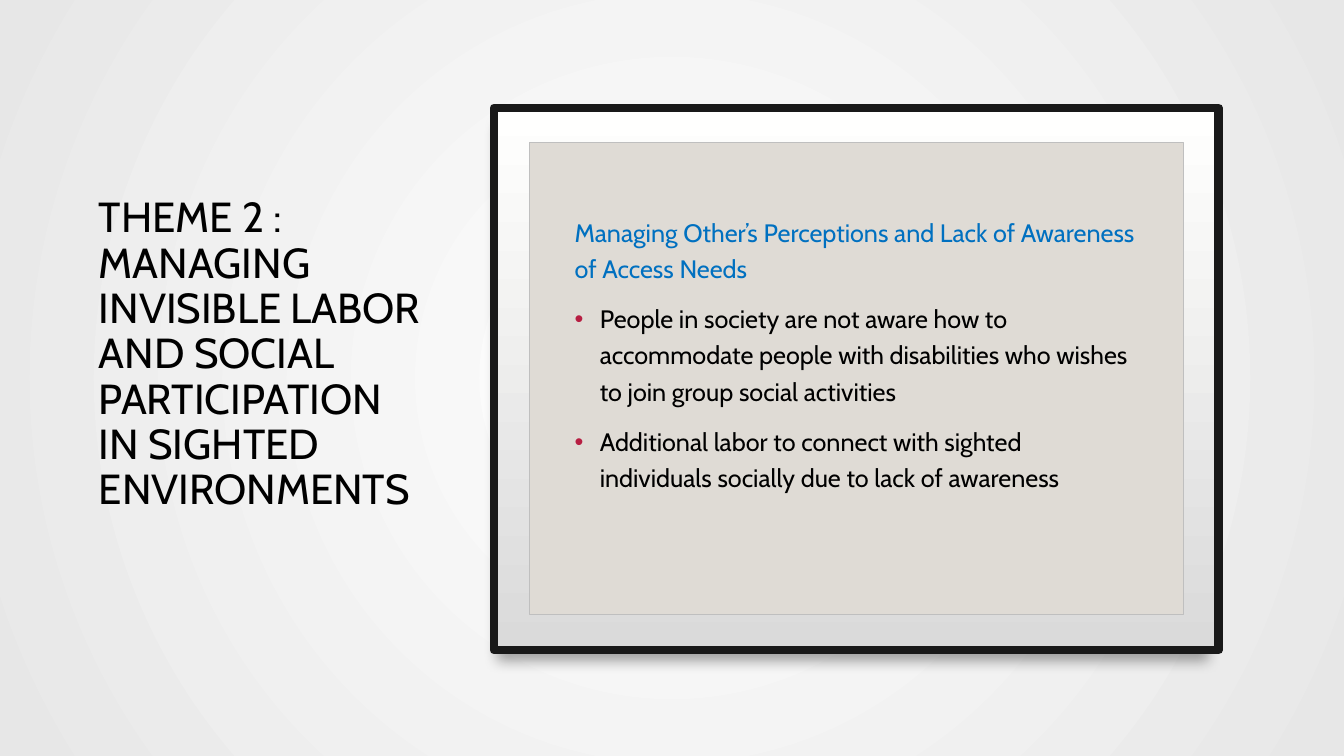
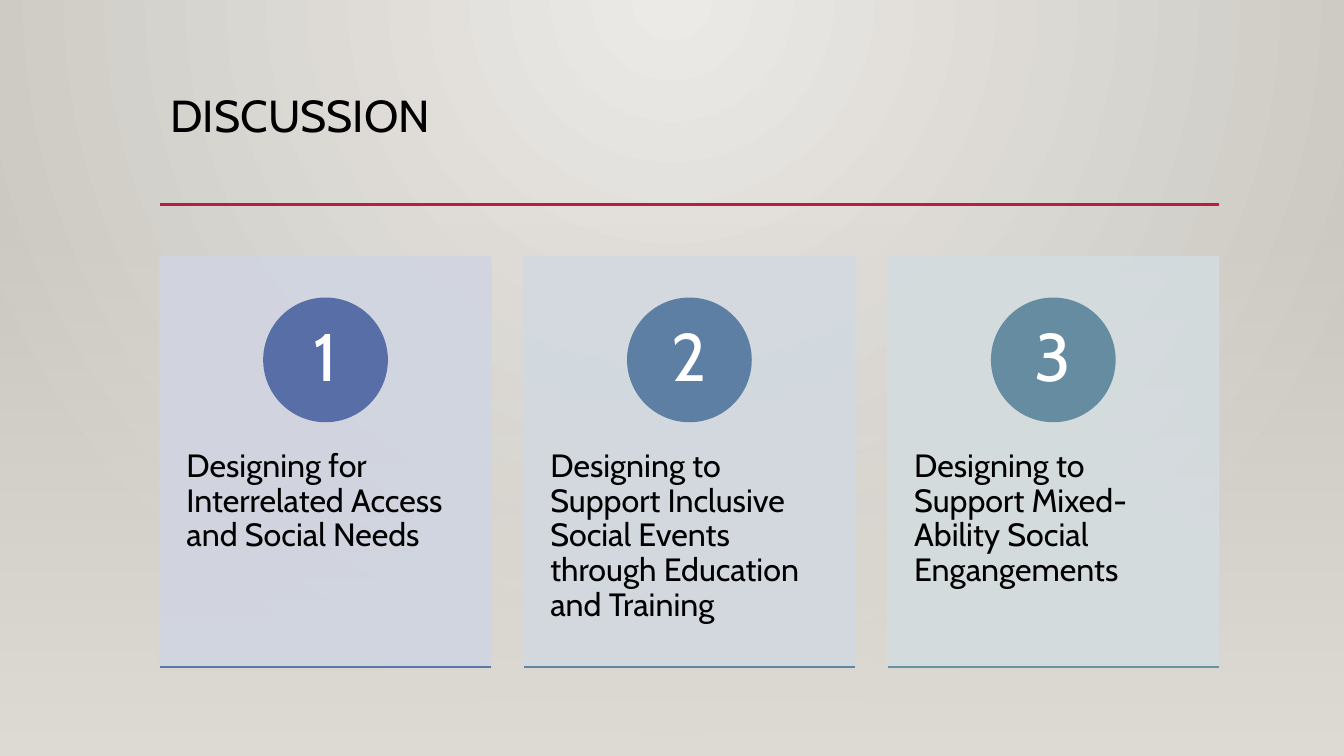
import pptx
import pptx.util
import pptx.dml.color
import pptx.enum.shapes
import pptx.enum.text
import pptx.oxml
import pptx.oxml.ns

Pt = pptx.util.Pt
Inches = pptx.util.Inches
Shape = pptx.enum.shapes.MSO_SHAPE
Anchor = pptx.enum.text.MSO_ANCHOR
Align = pptx.enum.text.PP_ALIGN
qn = pptx.oxml.ns.qn

BLACK, WHITE, ACCENT, SAND, HEADING = "000000", "FFFFFF", "B71E42", "DFDBD5", "0070C0"
CONTENT_LAYOUT, TITLE_LAYOUT = 1, 5
LEFT, WIDTH = 11.92, 78.75


def color(value):
    return pptx.dml.color.RGBColor.from_string(value)


def assign(target, values):
    for name, value in values.items():
        setattr(target, name, value)


def xml(tag, inner="", attributes=""):
    namespace = pptx.oxml.ns.nsdecls("a")
    return pptx.oxml.parse_xml(f"<a:{tag} {namespace} {attributes}>{inner}</a:{tag}>")


def gradient(owner, element, stops, direction):
    owner.fill.gradient()
    plain = element.find(".//" + qn("a:gradFill"))
    marks = "".join(
        f'<a:gs pos="{place * 1000}"><a:srgbClr val="{tone}"><a:alpha val="{alpha * 1000}"/></a:srgbClr></a:gs>'
        for place, tone, alpha in stops
    )
    plain.getparent().replace(plain, xml("gradFill", f"<a:gsLst>{marks}</a:gsLst>{direction}"))


def linear(angle):
    return f'<a:lin ang="{angle * 60000}" scaled="0"/>'


def radial(left, top, right, bottom):
    sides = " ".join(f'{side}="{share * 1000}"' for side, share in zip("ltrb", (left, top, right, bottom)))
    return f'<a:path path="circle"><a:fillToRect {sides}/></a:path>'


class Deck:
    font = "Cabin"

    def __init__(self):
        self.show = pptx.Presentation()
        assign(self.show, {"slide_width": Inches(13.333), "slide_height": Inches(7.5)})
        self.slide = None

    def place(self, x, y, w, h):
        across, down = self.show.slide_width / 100, self.show.slide_height / 100
        return [int(x * across), int(y * down), int(w * across), int(h * down)]

    def add_slide(self, layout, inner, outer, direction):
        self.slide = self.show.slides.add_slide(self.show.slide_layouts[layout])
        stops = [(0, inner, 100), (100, outer, 100)]
        gradient(self.slide.background, self.slide.element, stops, direction)

    def frame(self, holder, insets, anchor):
        margins = dict(zip(("margin_left", "margin_top", "margin_right", "margin_bottom"), map(Inches, insets)))
        assign(holder.text_frame, {
            "word_wrap": True,
            "auto_size": pptx.enum.text.MSO_AUTO_SIZE.NONE,
            "vertical_anchor": anchor,
            **margins,
        })
        return holder.text_frame

    def set_words(self, paragraph, words, size, tone=BLACK, spacing=0.9, before=0, align=Align.LEFT):
        assign(paragraph, {"line_spacing": spacing, "space_before": Pt(before), "alignment": align})
        run = paragraph.add_run()
        run.text = words
        assign(run.font, {"name": self.font, "size": Pt(size)})
        run.font.color.rgb = color(tone)

    def move(self, holder, area):
        assign(holder, dict(zip(("left", "top", "width", "height"), self.place(*area))))

    def title(self, words, area, size, anchor, bottom=0.05):
        heading = self.slide.shapes.title
        self.move(heading, area)
        frame = self.frame(heading, (0.1, 0.05, 0.1, bottom), anchor)
        self.set_words(frame.paragraphs[0], words, size)

    def body(self, lead, points, area, size, bottom):
        listing = self.slide.placeholders[1]
        self.move(listing, area)
        frame = self.frame(listing, (0.1, 0.05, 0.1, bottom), Anchor.MIDDLE)
        for index, words in enumerate([lead, *points]):
            paragraph = frame.add_paragraph() if index else frame.paragraphs[0]
            self.set_words(paragraph, words, size, BLACK if index else HEADING, 1.2, 10)
            properties = paragraph._p.get_or_add_pPr()
            indent = Inches(0.25) if index else 0
            properties.set("marL", str(indent))
            properties.set("indent", str(-indent))
            if index:
                properties.append(xml("buClr", f'<a:srgbClr val="{ACCENT}"/>'))
                properties.append(xml("buFont", attributes='typeface="Arial"'))
                properties.append(xml("buChar", attributes='char="•"'))
            else:
                properties.append(xml("buNone"))

    def shape(self, kind, area, fill=None, outline=None, weight=1.25, opacity=100):
        form = self.slide.shapes.add_shape(kind, *self.place(*area))
        form.shadow.inherit = False
        if fill:
            form.fill.solid()
            form.fill.fore_color.rgb = color(fill)
        if outline:
            form.line.color.rgb = color(outline)
            form.line.width = Pt(weight)
        else:
            form.line.fill.background()
        if opacity < 100:
            for tone in form.element.spPr.iter(qn("a:srgbClr")):
                tone.append(xml("alpha", attributes=f'val="{opacity * 1000}"'))
        return form

    def faded(self, area, stops, angle, outline=None, weight=1.25):
        form = self.shape(Shape.RECTANGLE, area, None, outline, weight)
        gradient(form, form.element.spPr, stops, linear(angle))
        return form

    def cast_shadow(self, form):
        effects = form.element.spPr.find(qn("a:effectLst"))
        effects.append(xml(
            "outerShdw",
            '<a:srgbClr val="000000"><a:alpha val="34000"/></a:srgbClr>',
            f'blurRad="{Pt(10)}" dist="{Pt(15)}" dir="{79 * 60000}" sx="98000" sy="98000" algn="tl" rotWithShape="0"',
        ))

    def rule(self, x, y, width, tone, weight):
        left, top, length, _ = self.place(x, y, width, 0)
        line = self.slide.shapes.add_connector(
            pptx.enum.shapes.MSO_CONNECTOR.STRAIGHT, left, top, left + length, top)
        line.line.color.rgb = color(tone)
        line.line.width = Pt(weight)
        line.element.spPr.append(xml("effectLst"))

    def text(self, words, area, size, insets):
        note = self.slide.shapes.add_textbox(*self.place(*area))
        self.set_words(self.frame(note, insets, Anchor.TOP).paragraphs[0], words, size)

    def badge(self, label, area, fill):
        disc = self.shape(Shape.OVAL, area, fill, fill)
        frame = self.frame(disc, (0, 0, 0, 0), Anchor.MIDDLE)
        self.set_words(frame.paragraphs[0], label, 48, WHITE, align=Align.CENTER)


def theme_slide(deck):
    deck.add_slide(CONTENT_LAYOUT, WHITE, "E7E7E7", radial(50, 50, 50, 50))
    deck.title(
        "THEME 2 : MANAGING INVISIBLE LABOR AND SOCIAL PARTICIPATION IN SIGHTED ENVIRONMENTS",
        (6.6, 18.8, 25.95, 62.4), 30, Anchor.MIDDLE, 0.5)
    border = deck.faded((36.75, 14, 53.93, 72.13), [(0, "000001", 100), (100, "191919", 100)], 0)
    deck.cast_shadow(border)
    deck.faded((36.75, 14.27, 53.93, 71.73), [(0, "DADADA", 100), (100, "FFFFFE", 100)], 270, "191919", 6)
    deck.shape(Shape.RECTANGLE, (39.37, 18.8, 48.68, 62.4), SAND, "BFBFBF", 0.25)
    listing = deck.slide.placeholders[1].element
    listing.getparent().append(listing)
    deck.body(
        "Managing Other’s Perceptions and Lack of Awareness of Access Needs",
        ["People in society are not aware how to accommodate people with disabilities "
         "who wishes to join group social activities",
         "Additional labor to connect with sighted individuals socially due to lack of awareness"],
        (42, 23.33, 43.42, 53.07), 18, 0.55)


def discussion_slide(deck):
    deck.add_slide(TITLE_LAYOUT, "ECEAE7", "CAC7C1", radial(43, 0, 43, 100))
    deck.title("DISCUSSION", (LEFT, 11.73, WIDTH, 15.33), 32, Anchor.TOP)
    deck.rule(LEFT, 27.07, WIDTH, ACCENT, 2.5)
    deck.faded((0, 29.47, 100, 70.53), [(0, SAND, 0), (100, SAND, 100)], 90)
    directions = [
        ("Designing for Interrelated Access and Social Needs", "D1D5E1", "586EA6", "5B77A5"),
        ("Designing to Support Inclusive Social Events through Education and Training",
         "D2D9E0", "5E7FA4", "6286A2"),
        ("Designing to Support Mixed-Ability Social Engangements", "D4DCDF", "658CA1", "6892A0"),
    ]
    card, disc = 24.6, 9.15
    pitch = (WIDTH - card) / (len(directions) - 1)
    for index, (words, pale, strong, base) in enumerate(directions):
        x = LEFT + index * pitch
        deck.shape(Shape.RECTANGLE, (x, 34, card, 54.27), pale, pale, opacity=90)
        deck.text(words, (x, 54.67, card, 32.53), 23, (0.26, 0.36, 0.26, 0.36))
        deck.badge(str(index + 1), (x + (card - disc) / 2, 39.47, disc, 16.27), strong)
        deck.rule(x, 88.27, card, base, 1.25)


def main():
    deck = Deck()
    theme_slide(deck)
    discussion_slide(deck)
    deck.show.save("out.pptx")


if __name__ == "__main__":
    main()
